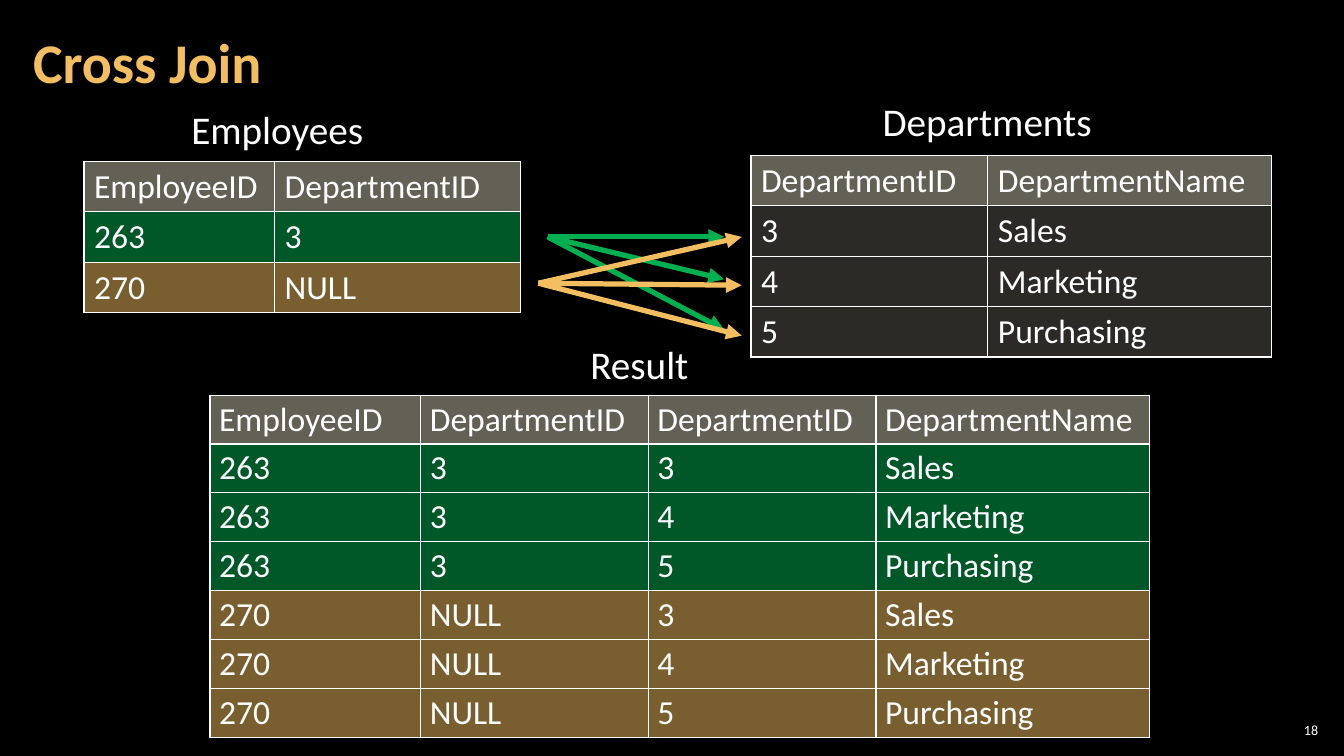
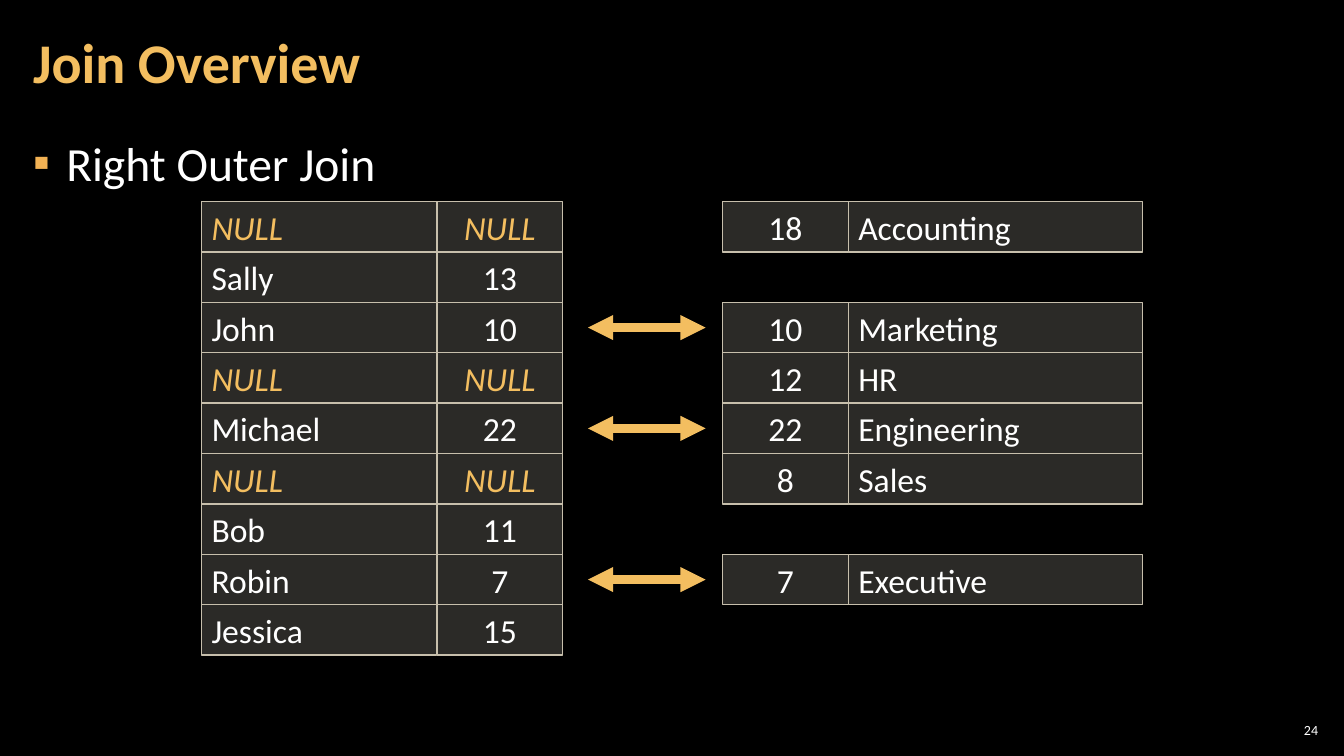
from itertools import product

from lxml import etree
from pptx import Presentation
from pptx.dml.color import RGBColor
from pptx.enum import shapes, text
from pptx.oxml import ns
from pptx.util import Inches, Pt

# Shared look
FONT = "Calibri"
BLACK, WHITE, GOLD, GREEN = "000000", "FFFFFF", "F3BE60", "00B050"
BULLET, EDGE = "F2B254", "C7BFAC"
HEAD, PLAIN = ("C6C0AA", 50), ("D9D5C7", 20)  # colour, opacity in percent
LEFT, CENTER, RIGHT = (text.PP_ALIGN.LEFT, text.PP_ALIGN.CENTER,
                       text.PP_ALIGN.RIGHT)
MIDDLE, TOP = text.MSO_ANCHOR.MIDDLE, text.MSO_ANCHOR.TOP

# Grid: 160 columns of 1/12 inch, 15 rows of 1/2 inch
COLS, ROWS = 160, 15


def col(n):
    return Inches(n / 12)


def row(n):
    return Inches(n / 2)


def box(x, y, w, h):
    return col(x), row(y), col(w), row(h)


def rgb(code):
    return RGBColor.from_string(code)


def node(parent, tag, **attrs):
    return etree.SubElement(parent, ns.qn(tag), attrs)


def paint(fill, props, tint):
    code, alpha = tint
    fill.solid()
    fill.fore_color.rgb = rgb(code)
    mark = props.find(f"{ns.qn('a:solidFill')}/{ns.qn('a:srgbClr')}")
    node(mark, "a:alpha", val=str(alpha * 1000))


# Text
def write(frame, words, size, color=WHITE, align=LEFT, bold=False,
          slant=False):
    para = frame.paragraphs[0]
    para.text = words
    para.alignment = align
    font = para.font
    font.name, font.size, font.bold, font.italic = FONT, Pt(size), bold, slant
    font.color.rgb = rgb(color)
    return para


def pad(part, side, end):
    part.margin_left = part.margin_right = Inches(side)
    part.margin_top = part.margin_bottom = Inches(end)


def label(slide, place, words, size, side=0.1, end=0.05, anchor=TOP,
          wrap=True, **style):
    frame = slide.shapes.add_textbox(*box(*place)).text_frame
    frame.word_wrap = wrap
    frame.vertical_anchor = anchor
    pad(frame, side, end)
    return write(frame, words, size, **style)


def caption(slide, x, y, w, words):
    label(slide, (x, y, w, 1.14), words, 28, wrap=False)


def bullet(slide, words):
    para = label(slide, (2.5, 2.52, 155, 12.18), words, 34, 0.12, 0.04)
    para.line_spacing = 1.05
    para.space_before = para.space_after = Pt(6)
    props = para._p.get_or_add_pPr()
    indent = Inches(0.33)
    props.set("marL", str(indent))
    props.set("indent", str(-indent))
    node(node(props, "a:buClr"), "a:srgbClr", val=BULLET)
    node(props, "a:buFont", typeface=FONT)
    node(props, "a:buChar", char="▪")


# Lines
def arrow(slide, start, end, color, width, both=False):
    line = slide.shapes.add_connector(
        shapes.MSO_CONNECTOR.STRAIGHT, col(start[0]), row(start[1]),
        col(end[0]), row(end[1]))
    line.line.color.rgb = rgb(color)
    line.line.width = Pt(width)
    props = line._element.spPr
    stroke = props.find(ns.qn("a:ln"))
    if both:
        node(stroke, "a:headEnd", type="triangle")
    node(stroke, "a:tailEnd", type="triangle")
    node(props, "a:effectLst")


# Tables
def border(props):
    for spot, side in enumerate("LRTB"):
        edge = etree.Element(ns.qn(f"a:ln{side}"), w=str(Pt(1)))
        node(node(edge, "a:solidFill"), "a:srgbClr", val=WHITE)
        props.insert(spot, edge)


def table(slide, x, y, widths, high, lines, tints, side=0.1, end=0.05):
    grid = slide.shapes.add_table(
        len(lines), len(widths),
        *box(x, y, sum(widths), high * len(lines))).table
    grid.first_row = grid.horz_banding = False
    for part, width in zip(grid.columns, widths):
        part.width = col(width)
    for part, line, tint in zip(grid.rows, lines, tints):
        part.height = row(high)
        for cell, words in zip(part.cells, line):
            pad(cell, side, end)
            write(cell.text_frame, words, 24)
            props = cell._tc.get_or_add_tcPr()
            paint(cell.fill, props, tint)
            border(props)


def tile(slide, x, y, w, words, align):
    rect = slide.shapes.add_shape(shapes.MSO_SHAPE.RECTANGLE,
                                  *box(x, y, w, 1))
    rect.shadow.inherit = False
    paint(rect.fill, rect._element.spPr, PLAIN)
    rect.line.color.rgb = rgb(EDGE)
    rect.line.width = Pt(1)
    frame = rect.text_frame
    frame.vertical_anchor = MIDDLE
    null = words == "NULL"
    write(frame, words, 24, GOLD if null else WHITE, align, slant=null)


# Slides
def start(deck, title, number):
    slide = deck.slides.add_slide(deck.slide_layouts[6])
    fill = slide.background.fill
    fill.solid()
    fill.fore_color.rgb = rgb(BLACK)
    para = label(slide, (2.5, 0.08, 125.6, 2.42), title, 40, 0.12, 0.04,
                 MIDDLE, color=GOLD, bold=True)
    para.line_spacing = 0.9
    label(slide, (151.8, 14.28, 5.6, 0.42), number, 10, 0.04, 0.04,
          MIDDLE, align=RIGHT)
    return slide


def cross(deck):
    slide = start(deck, "Cross Join", "18")
    staff = [("263", "3"), ("270", "NULL")]
    units = [("3", "Sales"), ("4", "Marketing"), ("5", "Purchasing")]
    heads = ("EmployeeID", "DepartmentID"), ("DepartmentID", "DepartmentName")
    tints = [(GREEN, 50), (GOLD, 50)]

    # Source tables
    caption(slide, 21.6, 2, 23, "Employees")
    table(slide, 10, 3.2, (22.7, 29.3), 1, [heads[0], *staff],
          [HEAD, *tints])
    caption(slide, 103.9, 1.84, 27.6, "Departments")
    table(slide, 89.4, 3.08, (28.2, 33.8), 1, [heads[1], *units],
          [HEAD] + [PLAIN] * len(units))

    # Every employee paired with every department
    caption(slide, 69.1, 6.66, 14.3, "Result")
    pairs = [a + b for a, b in product(staff, units)]
    shades = [tint for tint, _ in product(tints, units)]
    table(slide, 25, 7.84, (25.1, 27.1, 27.1, 32.6), 0.97,
          [heads[0] + heads[1], *pairs], [HEAD, *shades], 0.09, 0.04)

    fans = [(GREEN, (65.2, 4.7), 86.2, (4.7, 5.54, 6.54)),
            (GOLD, (64.1, 5.62), 88.3, (4.7, 5.66, 6.66))]
    for color, source, x, ends in fans:
        for y in ends:
            arrow(slide, source, (x, y), color, 3.75)


def outer(deck):
    slide = start(deck, "Join Overview", "24")
    bullet(slide, "Right Outer Join")
    # Employee, its department, department, its name
    lines = [
        ("NULL", "NULL", "18", "Accounting"),
        ("Sally", "13", "", ""),
        ("John", "10", "10", "Marketing"),
        ("NULL", "NULL", "12", "HR"),
        ("Michael", "22", "22", "Engineering"),
        ("NULL", "NULL", "8", "Sales"),
        ("Bob", "11", "", ""),
        ("Robin", "7", "7", "Executive"),
        ("Jessica", "15", "", ""),
    ]
    spots = [(24, 28, LEFT), (52, 15, CENTER), (86, 15, CENTER),
             (101, 35, LEFT)]
    for y, line in enumerate(lines, 4):
        for (x, w, align), words in zip(spots, line):
            if words:
                tile(slide, x, y, w, words, align)
        if line[1] == line[2]:
            arrow(slide, (70, y + 0.5), (84, y + 0.5), GOLD, 6, both=True)


def main():
    deck = Presentation()
    deck.slide_width, deck.slide_height = col(COLS), row(ROWS)
    cross(deck)
    outer(deck)
    deck.save("out.pptx")


if __name__ == "__main__":
    main()
